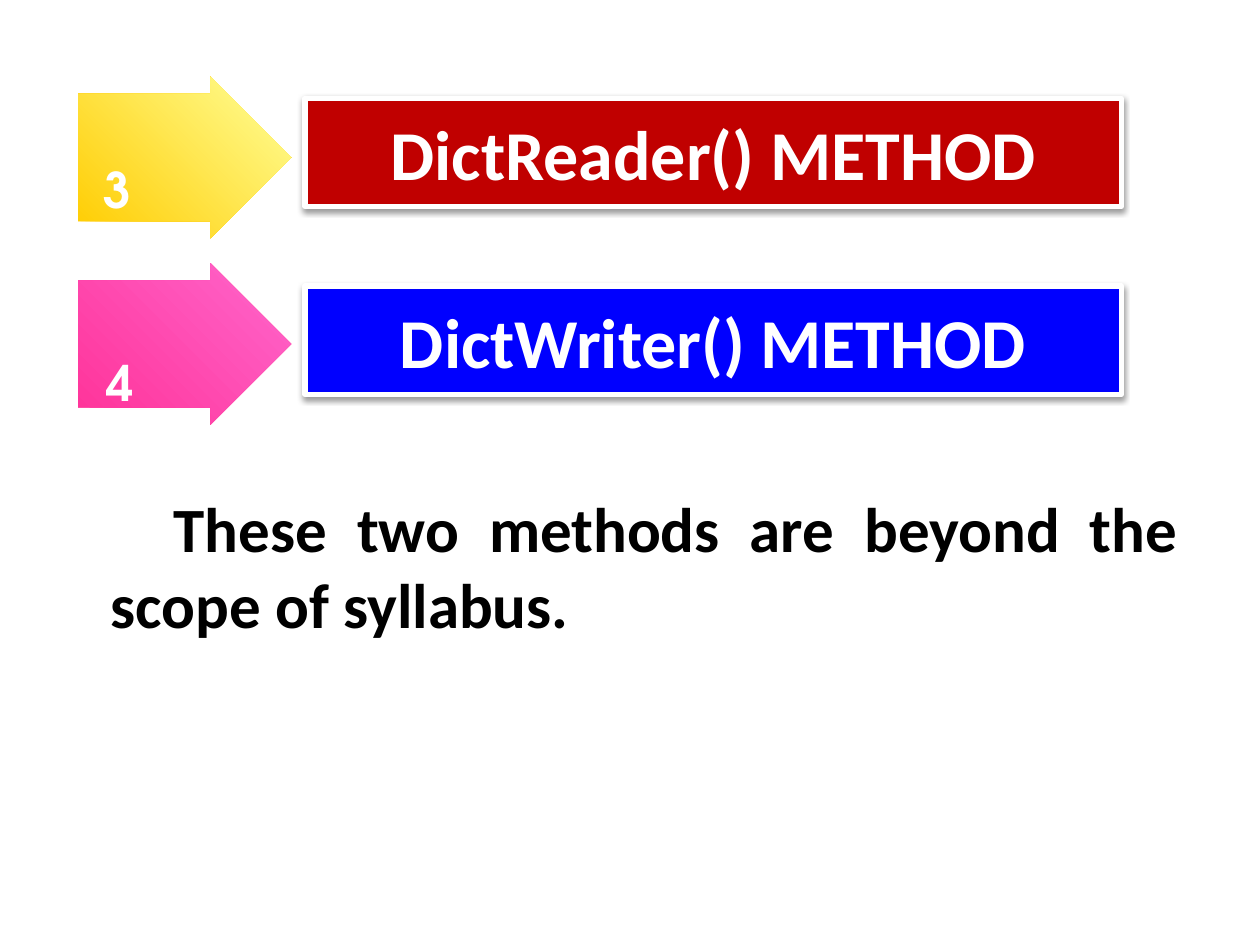
from lxml import etree
from pptx import Presentation
from pptx.dml.color import RGBColor
from pptx.enum import shapes, text
from pptx.oxml import ns
from pptx.util import Inches, Pt

WHITE = RGBColor(0xFF, 0xFF, 0xFF)
BLACK = RGBColor(0, 0, 0)
RED = RGBColor(0xC0, 0, 0)
BLUE = RGBColor(0, 0, 0xFF)
GOLD = RGBColor(0xFF, 0xCC, 0)
PALE_YELLOW = RGBColor(0xFF, 0xFF, 0x99)
ROSE = RGBColor(0xFF, 0x33, 0x99)
PINK = RGBColor(0xFF, 0x66, 0xCC)

# number, number position, arrow gradient, method, banner colour
METHODS = [
    ("3", (0.72, 1.22), (GOLD, PALE_YELLOW), "DictReader() METHOD", RED),
    ("4", (0.75, 2.75), (ROSE, PINK), "DictWriter() METHOD", BLUE),
]
REMARK = "\tThese two methods are beyond the scope of syllabus. "

ARROW_TOP, ARROW_PITCH = 0.61, 1.48
BANNER_TOP, BANNER_PITCH = 0.78, 1.49


def write(shape, words, size, font_name, color, align, anchor):
    frame = shape.text_frame
    frame.word_wrap = True
    frame.vertical_anchor = anchor
    paragraph = frame.paragraphs[0]
    paragraph.text = words
    paragraph.alignment = align
    font = paragraph.font
    font.size, font.name, font.bold = Pt(size), font_name, True
    font.color.rgb = color


def add_soft_shadow(shape):
    shape.shadow.inherit = False
    effects = shape._element.spPr.find(ns.qn("a:effectLst"))
    shadow = etree.SubElement(
        effects, ns.qn("a:outerShdw"), blurRad=str(Pt(3.1)), dist=str(Pt(1.6)),
        dir="5400000", rotWithShape="0")
    color = etree.SubElement(shadow, ns.qn("a:srgbClr"), val="000000")
    etree.SubElement(color, ns.qn("a:alpha"), val="38000")


def add_arrow(slide, top, gradient):
    arrow = slide.shapes.add_shape(
        shapes.MSO_SHAPE.RIGHT_ARROW,
        Inches(0.62), Inches(top), Inches(1.69), Inches(1.28))
    arrow.adjustments[0], arrow.adjustments[1] = 0.79, 0.5
    arrow.shadow.inherit = False
    arrow.line.fill.background()
    arrow.fill.gradient()
    arrow.fill.gradient_angle = 45
    for stop, color, position in zip(arrow.fill.gradient_stops, gradient, (0, 1)):
        stop.color.rgb = color
        stop.position = position


def add_banner(slide, top, method, color):
    banner = slide.shapes.add_shape(
        shapes.MSO_SHAPE.RECTANGLE,
        Inches(2.42), Inches(top), Inches(6.48), Inches(0.86))
    banner.fill.solid()
    banner.fill.fore_color.rgb = color
    banner.line.color.rgb = WHITE
    banner.line.width = Pt(3)
    add_soft_shadow(banner)
    write(banner, method, 40, "Calibri", WHITE,
          text.PP_ALIGN.CENTER, text.MSO_ANCHOR.MIDDLE)


def main():
    prs = Presentation()
    prs.slide_width, prs.slide_height = Inches(10), Inches(7.5)
    slide = prs.slides.add_slide(prs.slide_layouts.get_by_name("Blank"))

    for row, (number, (left, top), gradient, method, color) in enumerate(METHODS):
        add_arrow(slide, ARROW_TOP + row * ARROW_PITCH, gradient)
        label = slide.shapes.add_textbox(
            Inches(left), Inches(top), Inches(0.5), Inches(0.57))
        write(label, number, 28, "TeX Gyre Adventor", WHITE,
              text.PP_ALIGN.LEFT, text.MSO_ANCHOR.TOP)
        add_banner(slide, BANNER_TOP + row * BANNER_PITCH, method, color)

    remark = slide.shapes.add_textbox(
        Inches(0.78), Inches(3.83), Inches(8.67), Inches(1.31))
    write(remark, REMARK, 36, "Calibri", BLACK,
          text.PP_ALIGN.JUSTIFY, text.MSO_ANCHOR.MIDDLE)

    prs.save("out.pptx")


if __name__ == "__main__":
    main()
